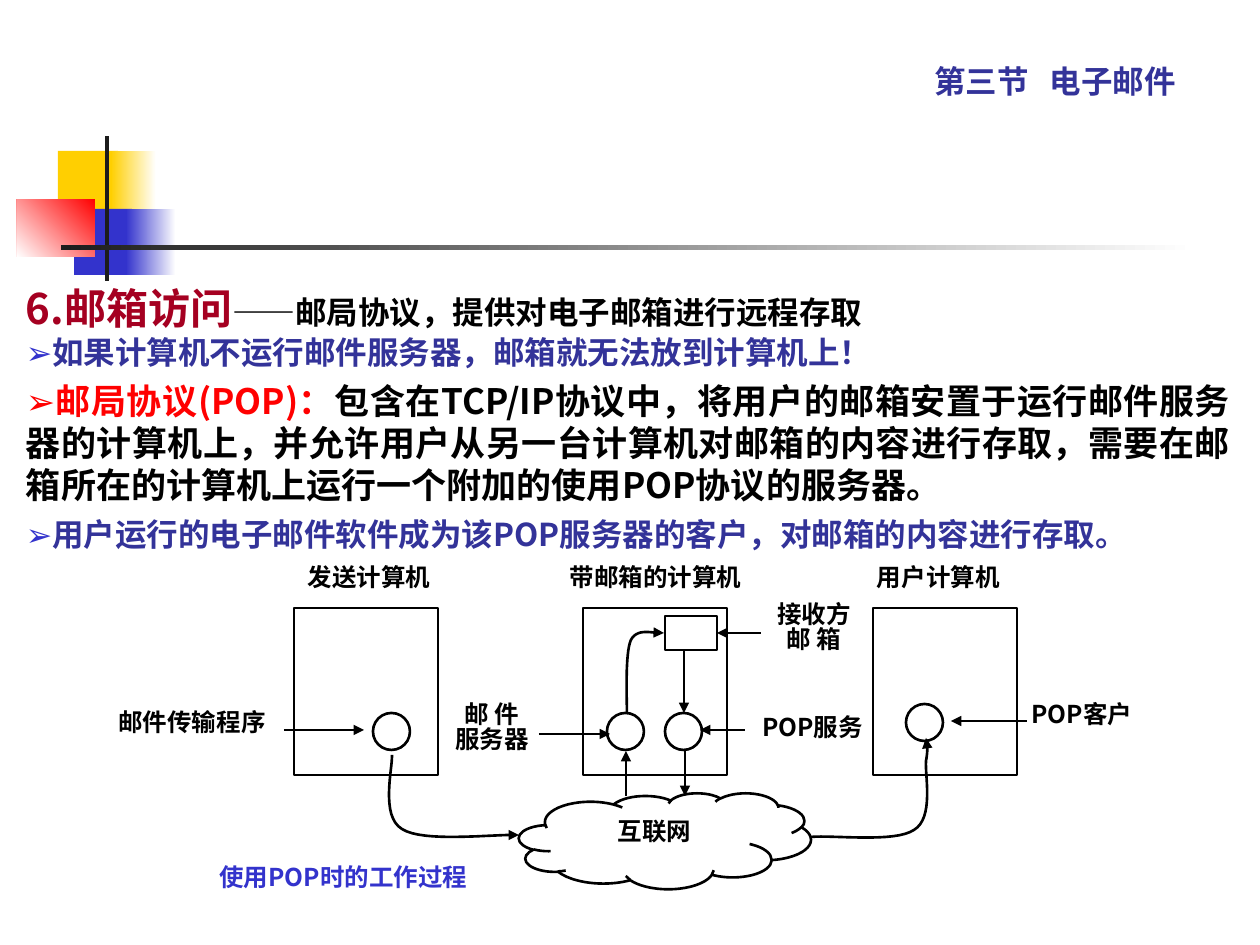
import pptx
import pptx.util
import pptx.dml.color
import pptx.enum.shapes
import pptx.enum.text
import pptx.oxml.ns
import lxml.etree

SCALE = 914400 / 126
KIND = pptx.enum.shapes.MSO_SHAPE
ALIGN = pptx.enum.text.PP_ALIGN
ANCHOR = pptx.enum.text.MSO_ANCHOR


def px(n):
    return pptx.util.Emu(round(n * SCALE))


def color(code):
    return pptx.dml.color.RGBColor.from_string(code)


def child(node, tag, **attrs):
    return lxml.etree.SubElement(node, pptx.oxml.ns.qn(tag), **attrs)


class Page:
    font = "Noto Sans CJK SC"
    ink = "000000"

    def __init__(self, deck):
        self.slide = deck.slides.add_slide(deck.slide_layouts[1])
        self.shapes = self.slide.shapes

    def style(self, run, size, code, font=None):
        face = run.font
        face.size, face.bold = pptx.util.Pt(size), True
        face.name = font or self.font
        face.color.rgb = color(code)
        child(run._r.get_or_add_rPr(), "a:ea", typeface=self.font)

    def place(self, shape, box):
        shape.left, shape.top, shape.width, shape.height = map(px, box)

    def frame(self, shape, pad=0, anchor=ANCHOR.TOP):
        text = shape.text_frame
        text.word_wrap = True
        text.auto_size = pptx.enum.text.MSO_AUTO_SIZE.NONE
        text.vertical_anchor = anchor
        text.margin_left = text.margin_right = px(2 * pad)
        text.margin_top = text.margin_bottom = px(pad)
        return text

    def words(self, text, lines, size, code, lead=None, align=ALIGN.CENTER):
        text.text = lines
        for para in text.paragraphs:
            para.alignment = align
            if lead:
                para.line_spacing = pptx.util.Pt(lead)
            for run in para.runs:
                self.style(run, size, code)

    def title(self, box, line):
        shape = self.shapes.title
        self.place(shape, box)
        self.words(self.frame(shape, 6, ANCHOR.BOTTOM), line, 18, "333399")

    def body(self, box, items):
        shape = self.slide.placeholders[1]
        self.place(shape, box)
        text = self.frame(shape, 6)
        for i, (align, lead, gap, runs) in enumerate(items):
            para = text.add_paragraph() if i else text.paragraphs[0]
            para.alignment = align
            para.line_spacing = pptx.util.Pt(lead)
            para.space_before = para.space_after = pptx.util.Pt(gap)
            props = para._p.get_or_add_pPr()
            props.set("marL", "0")
            props.set("indent", "0")
            child(props, "a:buNone")
            for words, *look in runs:
                run = para.add_run()
                run.text = words
                self.style(run, *look)

    def label(self, box, lines, lead=16.5, align=ALIGN.CENTER, code=ink):
        shape = self.shapes.add_textbox(*map(px, box))
        self.words(self.frame(shape), lines, 14, code, lead, align)

    def stroke(self, shape, width):
        shape.line.color.rgb = color(self.ink)
        shape.line.width = pptx.util.Pt(width)

    def block(self, box, *fill, angle=180):
        shape = self.shapes.add_shape(KIND.RECTANGLE, *map(px, box))
        shape.shadow.inherit = False
        shape.line.fill.background()
        if len(fill) == 1:
            shape.fill.solid()
            shape.fill.fore_color.rgb = color(fill[0])
            return
        shape.fill.gradient()
        shape.fill.gradient_angle = angle
        for stop, code in zip(shape.fill.gradient_stops, fill):
            stop.color.rgb = color(code)

    def shape(self, kind, box):
        shape = self.shapes.add_shape(kind, *map(px, box))
        shape.shadow.inherit = False
        shape.fill.background()
        self.stroke(shape, 1.5)
        return shape

    def cloud(self, box, line):
        shape = self.shape(KIND.CLOUD, box)
        self.words(self.frame(shape, 6), line, 14, self.ink, 18)

    def tip(self, shape):
        child(shape.line._get_or_add_ln(), "a:tailEnd", type="triangle")

    def arrow(self, x1, y1, x2, y2, width=1):
        line = self.shapes.add_connector(
            pptx.enum.shapes.MSO_CONNECTOR.STRAIGHT, *map(px, (x1, y1, x2, y2)))
        self.stroke(line, width)
        self.tip(line)
        child(line._element.spPr, "a:effectLst")

    def curve(self, start, *arcs, head=True):
        dots, last = [], start
        for b, c, d in arcs:
            for t in (n / 16 for n in range(1, 17)):
                u = 1 - t
                mix = (u ** 3, 3 * u * u * t, 3 * u * t * t, t ** 3)
                dots.append(tuple(
                    round(sum(m * p[k] for m, p in zip(mix, (last, b, c, d))) * SCALE)
                    for k in (0, 1)))
            last = d
        path = self.shapes.build_freeform(*map(px, start))
        path.add_line_segments(dots, close=False)
        shape = path.convert_to_shape()
        shape.shadow.inherit = False
        shape.fill.background()
        self.stroke(shape, 1.5)
        self.tip(shape)


def main():
    deck = pptx.Presentation()
    deck.slide_width, deck.slide_height = px(1260), px(945)
    page = Page(deck)

    gold, blue, red, dark, white = "FFCF01", "3333CC", "FF0000", "1C1C1C", "FFFFFF"
    page.block((58, 151, 60, 66), gold)
    page.block((111, 151, 45, 66), white, gold)
    page.block((74, 209, 58, 66), blue)
    page.block((126, 209, 50, 66), white, blue)
    page.block((17, 199, 78, 58), red, white, angle=225)
    page.block((105, 136, 4, 145), dark)
    page.block((61, 245, 1134, 5), white, dark)

    page.title((861, 53, 388, 53), "第三节   电子邮件")
    navy, ink = "333399", page.ink
    full = ALIGN.JUSTIFY
    page.body((14, 273, 1228, 282), [
        (ALIGN.LEFT, 31, 0, [
            ("6.邮箱访问", 24, "A50021"),
            ("——邮局协议，提供对电子邮箱进行远程存取", 18, ink)]),
        (full, 21.6, 0, [
            ("➢", 18, blue, "Arial"),
            ("如果计算机不运行邮件服务器，邮箱就无法放到计算机上！", 18, navy)]),
        (full, 24, 5, [
            ("➢", 20, red, "Arial"),
            ("邮局协议(POP)：", 20, red),
            ("包含在TCP/IP协议中，将用户的邮箱安置于运行邮件服务器的计算机上，"
             "并允许用户从另一台计算机对邮箱的内容进行存取，"
             "需要在邮箱所在的计算机上运行一个附加的使用POP协议的服务器。", 20, ink)]),
        (full, 21.6, 0, [
            ("➢", 18, blue, "Arial"),
            ("用户运行的电子邮件软件成为该POP服务器的客户，对邮箱的内容进行存取。", 18, navy)]),
    ])

    for left in (294, 583, 873):
        page.shape(KIND.RECTANGLE, (left, 608, 144, 167))
    page.shape(KIND.RECTANGLE, (665, 616, 52, 34))
    for left, top in ((373, 713), (607, 713), (665, 713), (906, 704)):
        page.shape(KIND.OVAL, (left, top, 37, 37))
    page.cloud((519, 793, 292, 96), "互联网")

    page.curve((392, 755), ((393, 767), (380, 816), (402, 829)),
               ((423, 843), (495, 834), (519, 835)))
    page.curve((811, 837), ((833, 835), (895, 843), (914, 830)),
               ((934, 818), (925, 777), (926, 761)),
               ((929, 745), (926, 741), (926, 738)))
    page.curve((627, 712), ((627, 699), (625, 653), (631, 640)),
               ((638, 626), (658, 635), (664, 633)))
    page.arrow(684, 650, 684, 713, 1.5)
    page.arrow(626, 796, 626, 751, 1.5)
    page.arrow(685, 751, 685, 796, 1.5)
    page.arrow(1027, 721, 951, 721)
    page.arrow(284, 730, 364, 730)
    page.arrow(761, 633, 717, 633)
    page.arrow(745, 730, 700, 730)
    page.arrow(539, 734, 610, 734)

    page.label((289, 563, 160, 46), "发送计算机")
    page.label((544, 563, 223, 42), "带邮箱的计算机")
    page.label((877, 563, 159, 30), "用户计算机", align=full)
    page.label((95, 708, 194, 46), "邮件传输程序")
    page.label((1002, 700, 160, 38), "POP客户")
    page.label((757, 717, 111, 34), "POP服务", 14)
    page.label((766, 604, 96, 67), "接收方\n邮 箱", 14)
    page.label((445, 704, 94, 63), "邮 件\n服务器", 14)
    page.label((136, 863, 415, 46), "使用POP时的工作过程", code=blue)

    deck.save("out.pptx")


if __name__ == "__main__":
    main()
